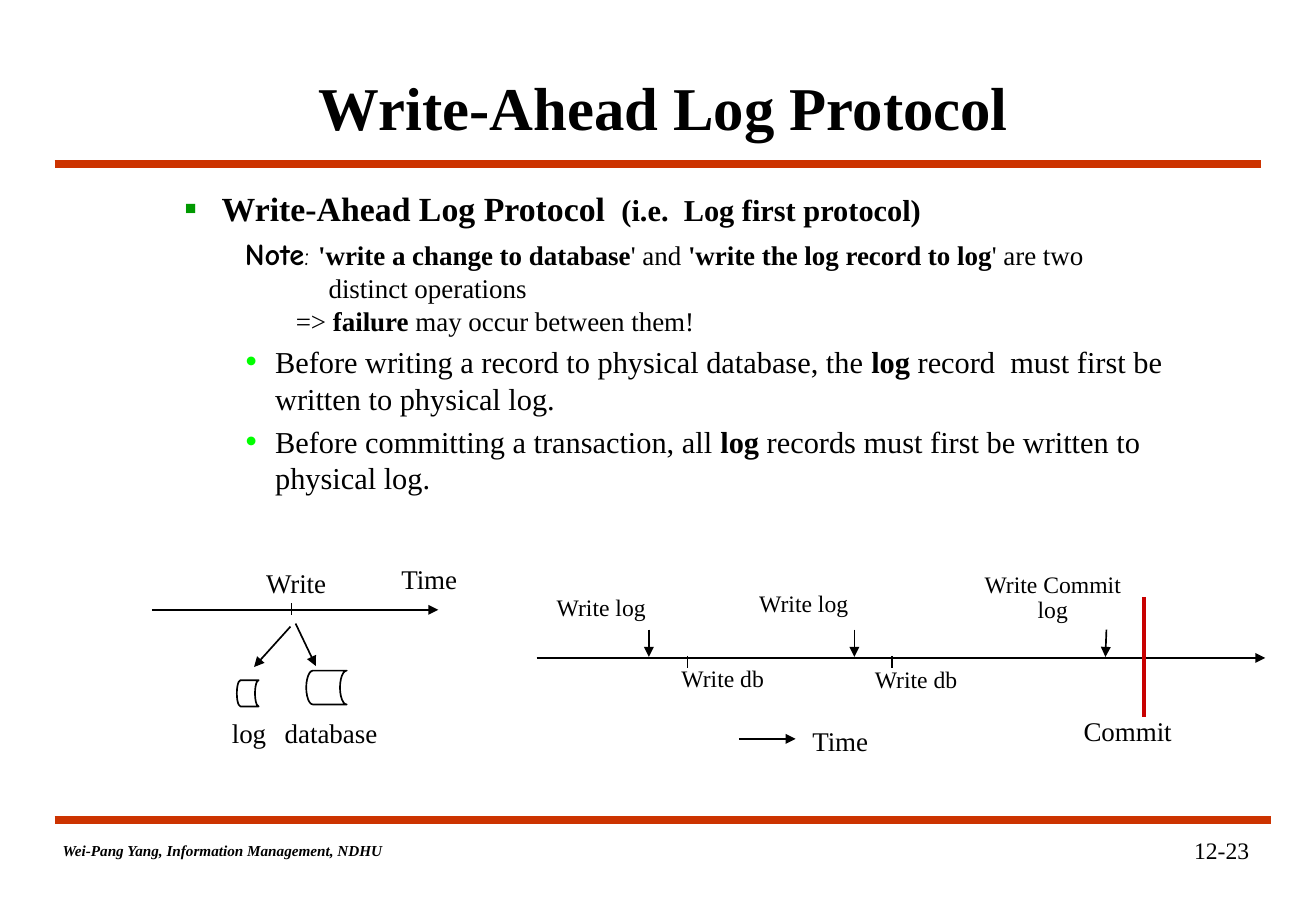
import lxml.etree
import pptx
import pptx.dml.color
import pptx.enum.shapes
import pptx.enum.text
import pptx.oxml.ns
import pptx.util

BLACK = pptx.dml.color.RGBColor(0x00, 0x00, 0x00)
RULE_ORANGE = pptx.dml.color.RGBColor(0xCC, 0x33, 0x00)
COMMIT_RED = pptx.dml.color.RGBColor(0xC8, 0x00, 0x00)
TOPIC_GREEN = pptx.dml.color.RGBColor(0x00, 0x99, 0x00)
POINT_GREEN = pptx.dml.color.RGBColor(0x00, 0xFF, 0x00)

ALIGN = pptx.enum.text.PP_ALIGN
ANCHOR = pptx.enum.text.MSO_ANCHOR
COLUMNS, ROWS = 130, 90  # square cells, twelve to the inch


def cells(count):
    return pptx.util.Inches(count / 12)


def write(paragraph, text, size=16, font="Times New Roman", bold=False,
          italic=False, color=BLACK):
    run = paragraph.add_run()
    run.text = text
    run.font.size = pptx.util.Pt(size)
    run.font.name = font
    run.font.bold = bold
    run.font.italic = italic
    run.font.color.rgb = color


def add_xml(parent, tag, **attributes):
    return lxml.etree.SubElement(parent, pptx.oxml.ns.qn(tag), attributes)


class LogSlide:
    """Current slide, drawn on the cell grid in one style."""

    def __init__(self, deck):
        self.shapes = deck.slides.add_slide(deck.slide_layouts[6]).shapes
        self.ink = BLACK
        self.thin = 1

    def frame(self, left, top, width, height, wrap=True, anchor=ANCHOR.TOP):
        box = self.shapes.add_textbox(*map(cells, (left, top, width, height)))
        box.text_frame.word_wrap = wrap
        box.text_frame.vertical_anchor = anchor
        return box.text_frame

    def label(self, text, left, top, width, height=4.4, align=ALIGN.CENTER,
              wrap=True, anchor=ANCHOR.TOP, spacing=None, **style):
        paragraph = self.frame(left, top, width, height, wrap, anchor).paragraphs[0]
        paragraph.alignment = align
        if spacing:
            paragraph.line_spacing = spacing
        write(paragraph, text, **style)

    def outline(self, frame, items):
        for number, (runs, margin, indent, before, bullet) in enumerate(items):
            paragraph = frame.add_paragraph() if number else frame.paragraphs[0]
            paragraph.space_before = pptx.util.Pt(before)
            properties = paragraph._p.get_or_add_pPr()
            properties.set("marL", str(pptx.util.Inches(margin)))
            properties.set("indent", str(pptx.util.Inches(indent)))
            if bullet:
                char, color, percent = bullet
                add_xml(add_xml(properties, "a:buClr"), "a:srgbClr", val=str(color))
                add_xml(properties, "a:buSzPct", val=str(percent * 1000))
                add_xml(properties, "a:buFont", typeface="Times New Roman")
                add_xml(properties, "a:buChar", char=char)
            else:
                add_xml(properties, "a:buNone")
            for text, style in runs:
                write(paragraph, text, **style)

    def line(self, x1, y1, x2, y2, color=None, width=None, arrow=False):
        connector = self.shapes.add_connector(
            pptx.enum.shapes.MSO_CONNECTOR.STRAIGHT, *map(cells, (x1, y1, x2, y2)))
        connector.line.color.rgb = color or self.ink
        connector.line.width = pptx.util.Pt(width or self.thin)
        properties = connector._element.spPr
        if arrow:
            add_xml(properties.find(pptx.oxml.ns.qn("a:ln")), "a:tailEnd", type="triangle")
        add_xml(properties, "a:effectLst")

    def storage(self, left, top, width, height):
        drum = self.shapes.add_shape(
            pptx.enum.shapes.MSO_SHAPE.FLOWCHART_STORED_DATA,
            *map(cells, (left, top, width, height)))
        drum.shadow.inherit = False
        drum.fill.background()
        drum.line.color.rgb = self.ink
        drum.line.width = pptx.util.Pt(self.thin)


def main():
    deck = pptx.Presentation()
    deck.slide_width, deck.slide_height = cells(COLUMNS), cells(ROWS)
    slide = LogSlide(deck)

    # Title, rules and footer
    slide.line(5.4, 81, 125.6, 81, RULE_ORANGE, 4.5)
    slide.line(5.4, 16.2, 124.6, 16.2, RULE_ORANGE, 4.5)
    slide.label("Wei-Pang Yang, Information Management, NDHU", 5, 82.5, 38.8, 3,
                align=ALIGN.LEFT, size=9, bold=True, italic=True)
    slide.label("12-23", 97.5, 82, 27.1, 6, align=ALIGN.RIGHT, size=14)
    slide.label("Write-Ahead Log Protocol", 11.9, 5, 107.3, 11,
                anchor=ANCHOR.MIDDLE, size=36, bold=True)

    # Protocol rules
    plain, strong = {"size": 16}, {"size": 16, "bold": True}
    point, key = {"size": 18}, {"size": 18, "bold": True}
    topic_bullet = ("▪", TOPIC_GREEN, 110)
    point_bullet = ("•", POINT_GREEN, 120)
    slide.outline(slide.frame(11, 18, 106, 61), [
        ([("Write-Ahead Log Protocol ", {"size": 20, "bold": True}),
          (" (i.e.  Log first protocol)", key)], 0.81, -0.31, 0, topic_bullet),
        ([("Note", {"size": 18, "bold": True, "font": "Comic Neue"}),
          (": ", {"size": 16, "font": "Comic Neue"}),
          ("'write a change to database", strong), ("' and ", plain),
          ("'write the log record to log", strong), ("' are two", plain)],
         1.25, -0.25, 4, None),
        ([("distinct operations", plain)], 1.69, 0, 0, None),
        ([("=> ", plain), ("failure", strong),
          (" may occur between them!", plain)], 1.42, 0, 0, None),
        ([("Before writing a record to physical database, the ", point), ("log", key),
          (" record  must first be written to physical log.", point)],
         1.25, -0.25, 4, point_bullet),
        ([("Before committing a transaction, all ", point), ("log", key),
          (" records must first be written to physical log.", point)],
         1.25, -0.25, 4, point_bullet),
    ])

    # One write goes to both log and database
    slide.line(15, 60.25, 43.3, 60.25, arrow=True)
    slide.line(28.8, 59.6, 28.8, 60.8)
    slide.line(29.2, 61.6, 31.2, 65.8, arrow=True)
    slide.line(28.7, 61.9, 25.1, 65.9, arrow=True)
    slide.storage(30.25, 66.25, 4, 3.35)
    slide.storage(23.4, 67.2, 2.15, 2.6)
    for text, left, top, width in (("Time", 38.4, 55, 8), ("Write", 25, 55.4, 8.5),
                                   ("log", 21.7, 70.2, 5.8),
                                   ("database", 26.9, 70.2, 11.6)):
        slide.label(text, left, top, width, wrap=False)

    # Timeline of log writes, database writes and commit
    axis = 65
    slide.line(53, axis, 125, axis, arrow=True)
    for db_tick in (67.9, 88.1):
        slide.line(db_tick, axis - 0.2, db_tick, axis + 1)
    for log_start, log_end in ((64.1, 64.1), (84.4, 84.4), (109.3, 109.2)):
        slide.line(log_start, axis - 2.8, log_end, axis - 0.1, arrow=True)
    slide.label("Write log", 53, 58, 12.8, 4, size=14)
    slide.label("Write log", 73, 57, 12.8, 4.6, size=14, spacing=1.2)
    slide.label("Write Commit log", 96, 56, 16, 6.2, size=14, spacing=0.9)
    slide.label("Write db", 65, axis, 12.8, 4, size=14)
    slide.label("Write db", 84.1, axis + 0.1, 12.8, 4, size=14)
    slide.line(113, 59, 113, 70.8, COMMIT_RED, 2.25)
    slide.label("Commit", 105, 70, 12.8)

    # Direction of time
    slide.line(73, 73, 78.6, 73, arrow=True)
    slide.label("Time", 79, 71, 8, wrap=False)

    deck.save("out.pptx")


if __name__ == "__main__":
    main()
